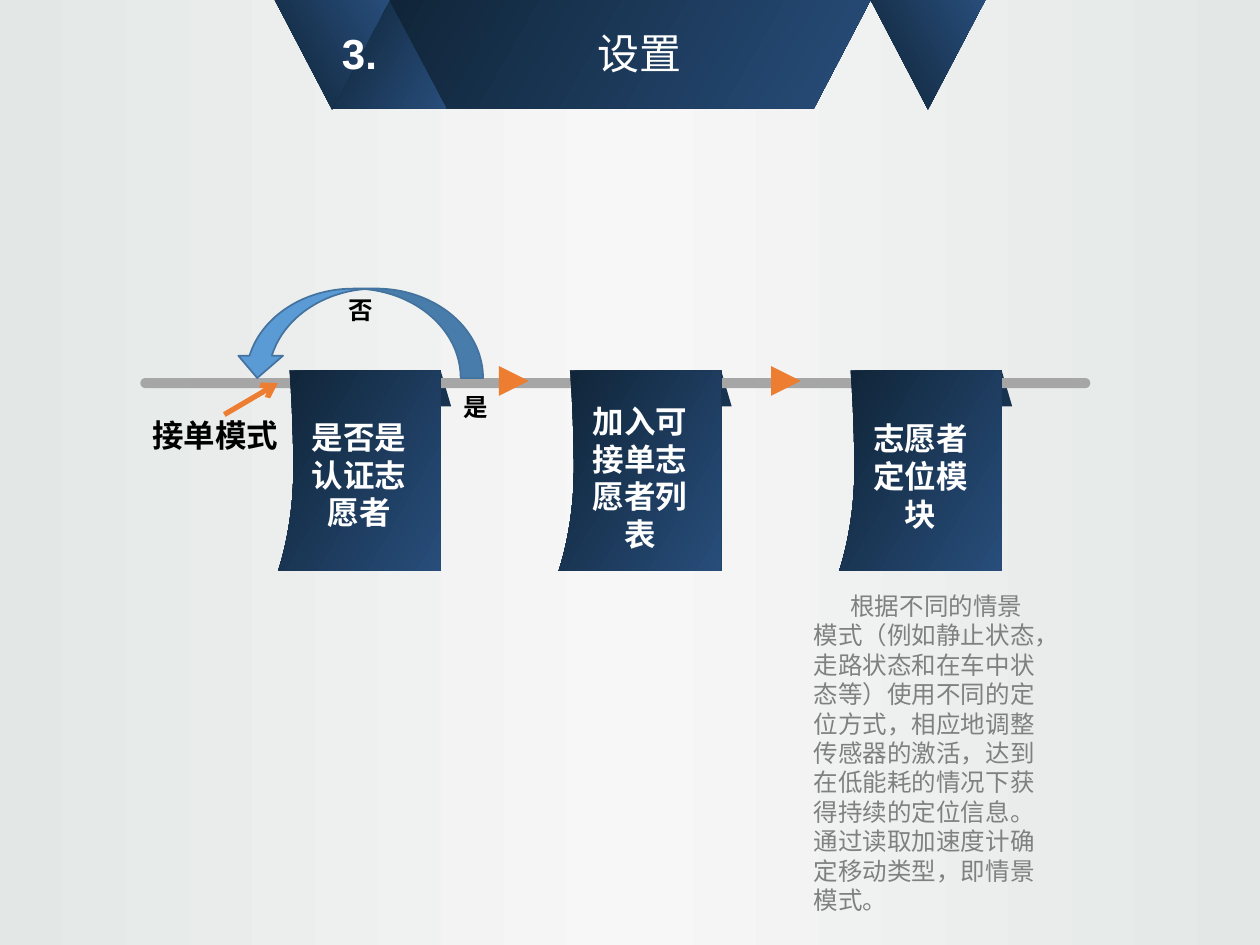
from copy import deepcopy
from dataclasses import dataclass

from lxml import etree
from pptx import Presentation
from pptx.dml.color import RGBColor
from pptx.enum.shapes import MSO_CONNECTOR, MSO_SHAPE
from pptx.enum.text import MSO_ANCHOR, PP_ALIGN
from pptx.oxml.ns import qn
from pptx.util import Pt

TRI = MSO_SHAPE.ISOSCELES_TRIANGLE
ROUND = MSO_SHAPE.ROUNDED_RECTANGLE
CURVED = MSO_SHAPE.CURVED_UP_ARROW
LEFT, CENTER = PP_ALIGN.LEFT, PP_ALIGN.CENTER
TOP, MIDDLE = MSO_ANCHOR.TOP, MSO_ANCHOR.MIDDLE

WHITE = RGBColor(0xFF, 0xFF, 0xFF)
BLACK = RGBColor(0x00, 0x00, 0x00)
GREY = RGBColor(0x80, 0x80, 0x80)
BAR = RGBColor(0xA6, 0xA6, 0xA6)
NAVY = RGBColor(0x0F, 0x24, 0x37)
BLUE = RGBColor(0x28, 0x4D, 0x7A)
FOLD = RGBColor(0x18, 0x33, 0x4F)
SKY = RGBColor(0x5B, 0x9B, 0xD5)
EDGE = RGBColor(0x43, 0x73, 0x9E)
ORANGE = RGBColor(0xED, 0x7D, 0x31)
EDGE_BG = RGBColor(0xE3, 0xE7, 0xE5)
MID_BG = RGBColor(0xF7, 0xF7, 0xF7)

LATIN, CJK = "Arial", "Noto Sans CJK SC"
Point = tuple[float, float]


@dataclass
class Box:
    x: float
    y: float
    w: float
    h: float

    def size(self) -> list:
        return [Pt(v) for v in (self.x, self.y, self.w, self.h)]


@dataclass
class Step:
    text: str
    box: Box
    font: str = LATIN


def paint(shape, fill: RGBColor | None = None) -> None:
    """Fill with one colour, or with the navy blend when none is given."""
    shape.shadow.inherit = False
    shape.line.fill.background()
    if fill is not None:
        shape.fill.solid()
        shape.fill.fore_color.rgb = fill
        return
    shape.fill.gradient()
    shape.fill.gradient_angle = 330
    for stop, color in zip(shape.fill.gradient_stops, (NAVY, BLUE)):
        stop.color.rgb = color


def add_form(slide, kind, box: Box, fill: RGBColor | None = None,
             turn: float = 0, flip: bool = False):
    shape = slide.shapes.add_shape(kind, *box.size())
    paint(shape, fill)
    shape.rotation = turn
    if flip:
        shape._element.spPr.find(qn("a:xfrm")).set("flipV", "1")
    return shape


def add_outline(slide, points: list[Point], fill: RGBColor | None = None) -> None:
    first, *rest = [(Pt(x), Pt(y)) for x, y in points]
    form = slide.shapes.build_freeform(*first, scale=1.0)
    form.add_line_segments(rest, close=True)
    paint(form.convert_to_shape(), fill)


def curve(a: Point, b: Point, c: Point, d: Point, count: int = 12) -> list[Point]:
    """Points along a cubic curve from a to d."""
    points = []
    for i in range(count + 1):
        t = i / count
        parts = ((1 - t) ** 3, 3 * t * (1 - t) ** 2, 3 * t * t * (1 - t), t ** 3)
        points.append(tuple(sum(k * p[n] for k, p in zip(parts, (a, b, c, d)))
                            for n in (0, 1)))
    return points


def add_text(slide, text: str, box: Box, *, size: float = 18, color: RGBColor = BLACK,
             bold: bool = True, font: str = LATIN, align=LEFT, anchor=TOP,
             space: float = 1, indent: float = 0, tab: float = 0,
             light: str = "") -> None:
    """Each line of text is a paragraph; light is a plain run after the last."""
    frame = slide.shapes.add_textbox(*box.size()).text_frame
    frame.word_wrap, frame.vertical_anchor = True, anchor
    for i, line in enumerate(text.split("\n")):
        para = frame.add_paragraph() if i else frame.paragraphs[0]
        para.alignment, para.line_spacing = align, space
        props = para._p.get_or_add_pPr()
        if indent:
            props.set("marL", "0")
            props.set("indent", str(Pt(indent)))
        if tab:
            tabs = etree.SubElement(props, qn("a:tabLst"))
            etree.SubElement(tabs, qn("a:tab"), pos=str(Pt(tab)), algn="l")
        runs = [(line, bold)] + ([(light, False)] if light else [])
        for part, heavy in runs:
            run = para.add_run()
            run.text = part
            run.font.size, run.font.bold, run.font.name = Pt(size), heavy, font
            run.font.color.rgb = color
            east = etree.Element(qn("a:ea"), typeface=CJK)
            run.font._element.find(qn("a:latin")).addnext(east)


def add_arrow(slide, start: Point, end: Point) -> None:
    ends = [Pt(v) for v in (*start, *end)]
    line = slide.shapes.add_connector(MSO_CONNECTOR.STRAIGHT, *ends)
    line.line.color.rgb, line.line.width = ORANGE, Pt(3)
    etree.SubElement(line.line._get_or_add_ln(), qn("a:tailEnd"), type="arrow")
    etree.SubElement(line._element.spPr, qn("a:effectLst"))


def add_ground(slide) -> None:
    fill = slide.background.fill
    fill.gradient()
    fill.gradient_angle = 180
    last = fill.gradient_stops[1]._gs
    last.addnext(deepcopy(last))
    for stop, place, color in zip(fill.gradient_stops, (0, 0.5, 1),
                                  (EDGE_BG, MID_BG, EDGE_BG)):
        stop.position, stop.color.rgb = place, color


def add_banner(slide) -> None:
    add_outline(slide, [(214.6, 0), (497.5, 0), (465.1, 61.9), (214.6, 61.9)])
    add_form(slide, TRI, Box(189.4, 0, 65.5, 61.9))
    for x in (157, 497.5):
        add_form(slide, TRI, Box(x, 0, 65.5, 62.6), flip=True)
    add_text(slide, "3.\t", Box(188.3, 7.2, 229.7, 49), size=24, color=WHITE,
             anchor=MIDDLE, space=0.9, tab=146, light="设置")


HEAD, FOOT, BEND = 211.7, 326.2, 269.3
RIGHTS = [251.8 + 160.3 * i for i in range(3)]
STEPS = [
    Step("是否是认证志愿者", Box(165.6, 235.2, 79.2, 72.7)),
    Step("加入可\n接单志\n愿者列\n表", Box(326.2, 226.1, 79.2, 90.7), CJK),
    Step("志愿者定位模块", Box(489.6, 236, 72.7, 72.7)),
]
NOTE = ("根据不同的情景模式（例如静止状态，走路状态和在车中状态等）使用不同的定位方式，"
        "相应地调整传感器的激活，达到在低能耗的情况下获得持续的定位信息。"
        "通过读取加速度计确定移动类型，即情景模式。")


def add_flag(slide, right: float) -> None:
    low, mid, top = right - 92.9, right - 84.2, right - 86.4
    side = curve((low, FOOT), (low, FOOT), (mid, 301.7), (mid, BEND))
    side += curve((mid, BEND), (mid, 237.6), (top, HEAD), (top, HEAD))[1:]
    add_outline(slide, [(right, FOOT), *side, (right, HEAD)])


def add_flow(slide) -> None:
    # Folds behind the bar, flags in front of it
    for right in RIGHTS:
        add_outline(slide, [(right, HEAD), (right + 6, 232.2), (right, 232.2)], FOLD)
    bar = add_form(slide, ROUND, Box(80.2, 216, 542.9, 5.8), BAR)
    bar.adjustments[0] = 0.5
    for right in RIGHTS:
        add_flag(slide, right)
    for step in STEPS:
        add_text(slide, step.text, step.box, color=WHITE, align=CENTER,
                 font=step.font)

    # Arrows
    for x in (285.1, 440.6):
        add_form(slide, TRI, Box(x, 209.2, 17, 17), ORANGE, turn=90)
    back = add_form(slide, CURVED, Box(134.2, 164.9, 141.8, 51.1), SKY, turn=180)
    back.line.color.rgb, back.line.width = EDGE, Pt(1)
    add_arrow(slide, (128.2, 236.9), (158.8, 218.9))

    # Labels and note
    add_text(slide, "接单模式", Box(79.9, 234, 98.6, 29))
    add_text(slide, "否", Box(192.2, 164.9, 51.8, 24.2), size=14)
    add_text(slide, "是", Box(257.8, 220.3, 51.8, 24.2), size=14)
    add_text(slide, NOTE, Box(457.9, 334.1, 145.2, 193.7), size=14, color=GREY,
             bold=False, font=CJK, indent=21)


def main() -> None:
    deck = Presentation()
    deck.slide_width, deck.slide_height = Pt(720), Pt(540)
    slide = deck.slides.add_slide(deck.slide_layouts[6])
    add_ground(slide)
    add_banner(slide)
    add_flow(slide)
    deck.save("out.pptx")


if __name__ == "__main__":
    main()
